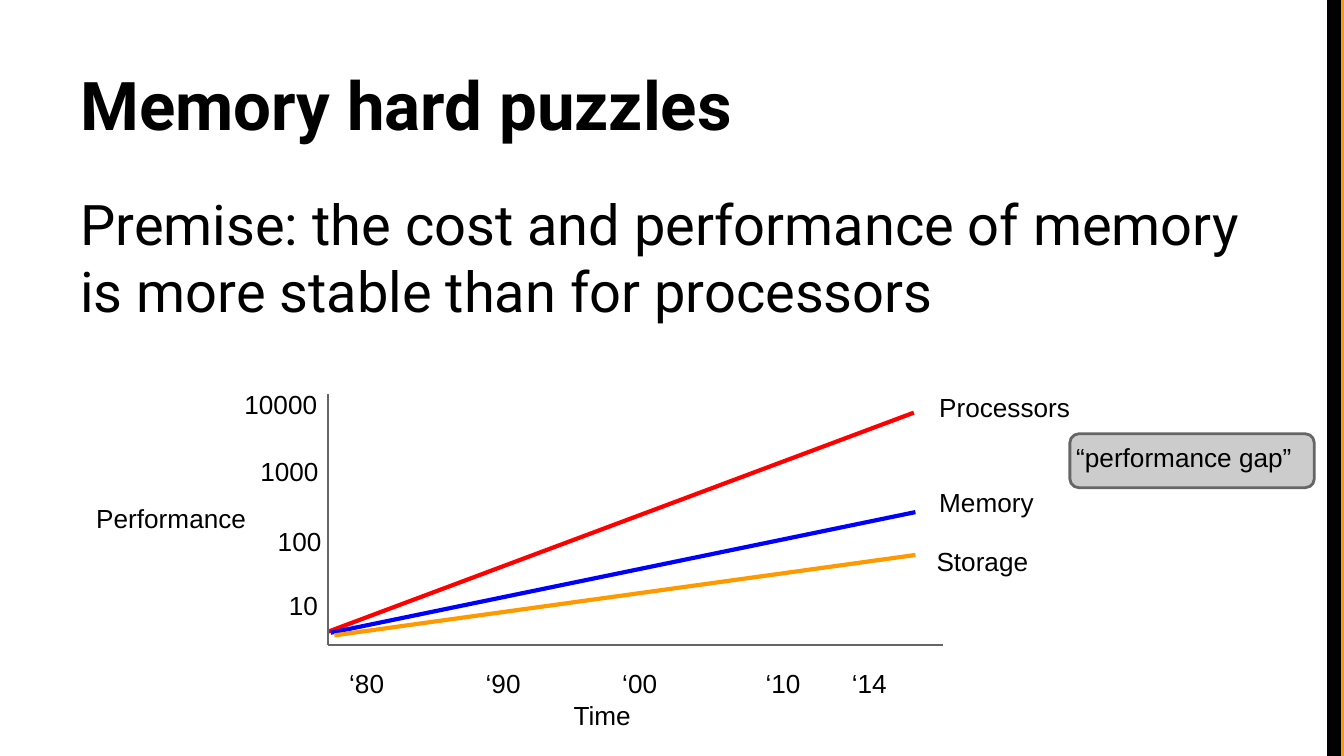
from typing import NamedTuple

from lxml.etree import SubElement
from pptx import Presentation
from pptx.dml.color import RGBColor
from pptx.enum.shapes import MSO_CONNECTOR, MSO_SHAPE
from pptx.enum.text import MSO_ANCHOR, MSO_AUTO_SIZE, PP_ALIGN
from pptx.oxml.ns import qn
from pptx.util import Cm, Pt

BLACK = RGBColor(0x00, 0x00, 0x00)
RED = RGBColor(0xFF, 0x00, 0x00)
BLUE = RGBColor(0x00, 0x00, 0xFF)
ORANGE = RGBColor(0xFF, 0x99, 0x00)
GREY = RGBColor(0x66, 0x66, 0x66)
LIGHT_GREY = RGBColor(0xCC, 0xCC, 0xCC)

WIDTH, HEIGHT = 25.4, 14.29
INSET = Cm(0.25)
LABEL_HEIGHT = 1.27


class Label(NamedTuple):
    text: str
    left: float
    top: float
    width: float


class Line(NamedTuple):
    x1: float
    y1: float
    x2: float
    y2: float
    color: RGBColor
    weight: float


LINES = [
    Line(6.2, 11.94, 17.27, 7.8, RED, 2.25),
    Line(6.25, 11.96, 17.3, 9.68, BLUE, 2.25),
    Line(6.32, 12.01, 17.3, 10.49, ORANGE, 2.25),
    Line(6.2, 12.19, 6.2, 7.44, GREY, 1.5),
    Line(6.2, 12.19, 17.83, 12.19, GREY, 1.5),
]

LABELS = [
    Label("Performance", 1.57, 9.25, 10.16),
    Label("10000", 4.37, 7.09, 2.11),
    Label("1000", 4.67, 8.36, 2.11),
    Label("100", 5.0, 9.68, 2.11),
    Label("10", 5.21, 10.9, 2.11),
    Label("Processors", 17.5, 7.14, 7.5),
    Label("Memory", 17.5, 8.94, 7.5),
    Label("Storage", 17.45, 10.06, 7.5),
    Label("“performance gap”", 20.09, 8.1, 4.95),
]

YEARS = ["‘80", "‘90", "‘00", "‘10", "‘14"]
YEAR_TABS = [2.58, 5.16, 7.87, 9.5]
TIME_TAB = 4.24


def write(s, text: str, *, size: float = 14, font: str = "Arial",
          bold: bool = False, anchor=MSO_ANCHOR.TOP) -> None:
    tf = s.text_frame
    tf.word_wrap = True
    tf.auto_size = MSO_AUTO_SIZE.NONE
    tf.vertical_anchor = anchor
    tf.margin_left = tf.margin_right = tf.margin_top = tf.margin_bottom = INSET
    tf.text = text
    for p in tf.paragraphs:
        p.alignment = PP_ALIGN.LEFT
        for r in p.runs:
            r.font.name = font
            r.font.size = Pt(size)
            r.font.bold = bold
            r.font.color.rgb = BLACK


def add_text(slide, label: Label, height: float = LABEL_HEIGHT, **fmt):
    s = slide.shapes.add_textbox(
        Cm(label.left), Cm(label.top), Cm(label.width), Cm(height))
    write(s, label.text, **fmt)
    return s


def add_box(slide, kind, left: float, top: float, width: float, height: float,
            fill: RGBColor):
    s = slide.shapes.add_shape(kind, Cm(left), Cm(top), Cm(width), Cm(height))
    s.shadow.inherit = False
    s.fill.solid()
    s.fill.fore_color.rgb = fill
    s.line.fill.background()
    return s


def add_line(slide, line: Line) -> None:
    c = slide.shapes.add_connector(
        MSO_CONNECTOR.STRAIGHT,
        Cm(line.x1), Cm(line.y1), Cm(line.x2), Cm(line.y2))
    c.line.color.rgb = line.color
    c.line.width = Pt(line.weight)
    SubElement(c._element.spPr, qn("a:effectLst"))


def set_tabs(p, stops: list[float]) -> None:
    tabs = SubElement(p._p.get_or_add_pPr(), qn("a:tabLst"))
    for stop in stops:
        SubElement(tabs, qn("a:tab"), pos=str(Cm(stop)), algn="l")


def main() -> None:
    prs = Presentation()
    prs.slide_width, prs.slide_height = Cm(WIDTH), Cm(HEIGHT)
    slide = prs.slides.add_slide(prs.slide_layouts[5])

    add_box(slide, MSO_SHAPE.RECTANGLE, 25.35, 0, 0.05, HEIGHT, ORANGE)
    add_box(slide, MSO_SHAPE.RECTANGLE, 25.08, 0, 0.27, HEIGHT, BLACK)
    gap = add_box(slide, MSO_SHAPE.ROUNDED_RECTANGLE, 20.22, 8.2, 4.62, 1.02,
                  LIGHT_GREY)
    gap.line.color.rgb = GREY
    gap.line.width = Pt(1.5)

    title = slide.shapes.title
    title.left, title.top = Cm(1.27), Cm(0.58)
    title.width, title.height = Cm(22.86), Cm(2.39)
    write(title, "Memory hard puzzles", size=36, font="Roboto", bold=True,
          anchor=MSO_ANCHOR.BOTTOM)
    premise = ("Premise: the cost and performance of memory "
               "is more stable than for processors")
    add_text(slide, Label(premise, 1.27, 3.33, 22.86), 10.34,
             size=30, font="Roboto")

    for line in LINES:
        add_line(slide, line)
    for label in LABELS:
        add_text(slide, label)

    axis = add_text(
        slide, Label("\t".join(YEARS) + "\n\tTime", 6.35, 12.37, 12.47))
    years, time = axis.text_frame.paragraphs
    set_tabs(years, YEAR_TABS)
    set_tabs(time, [TIME_TAB])

    prs.save("out.pptx")


if __name__ == "__main__":
    main()
